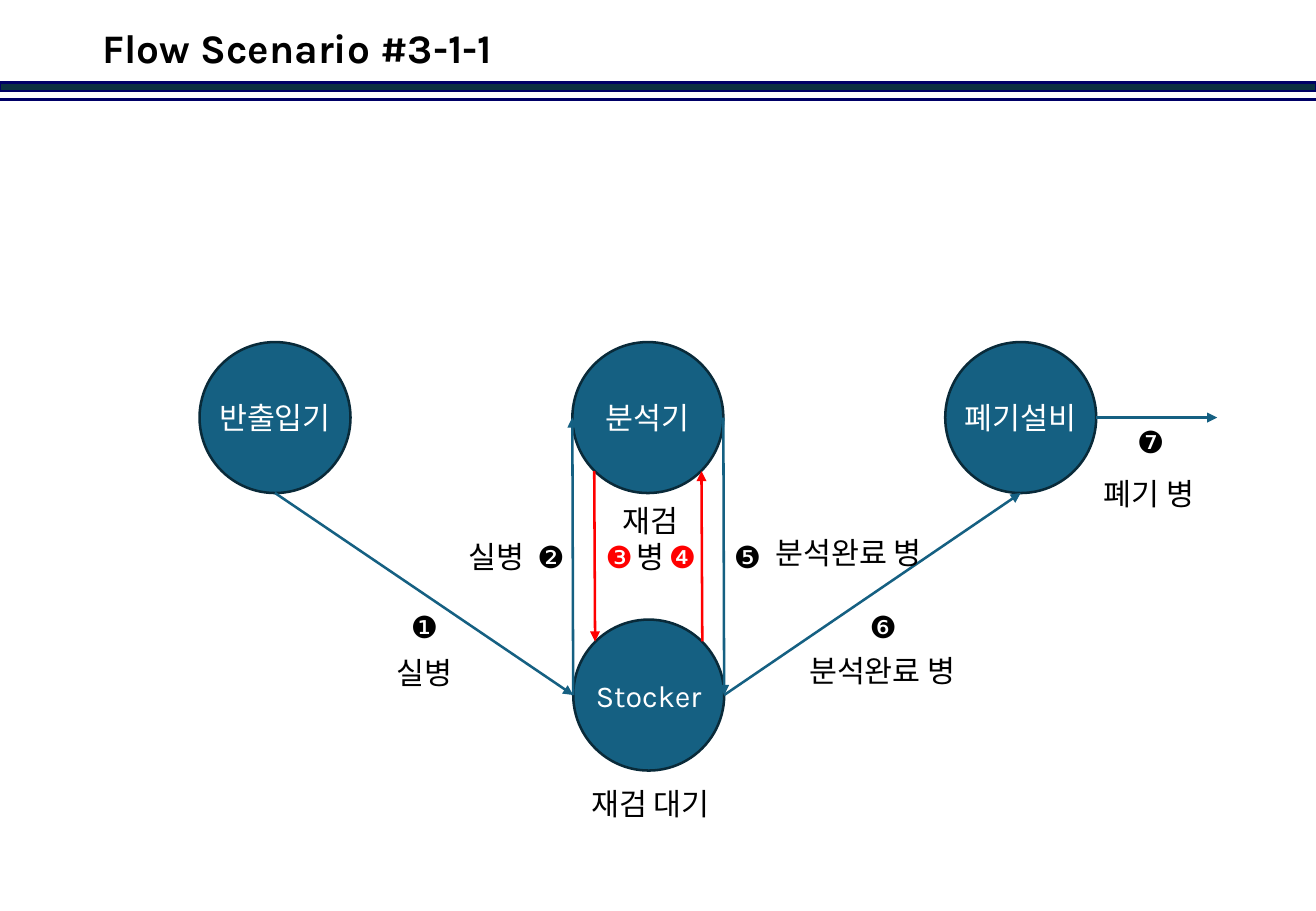
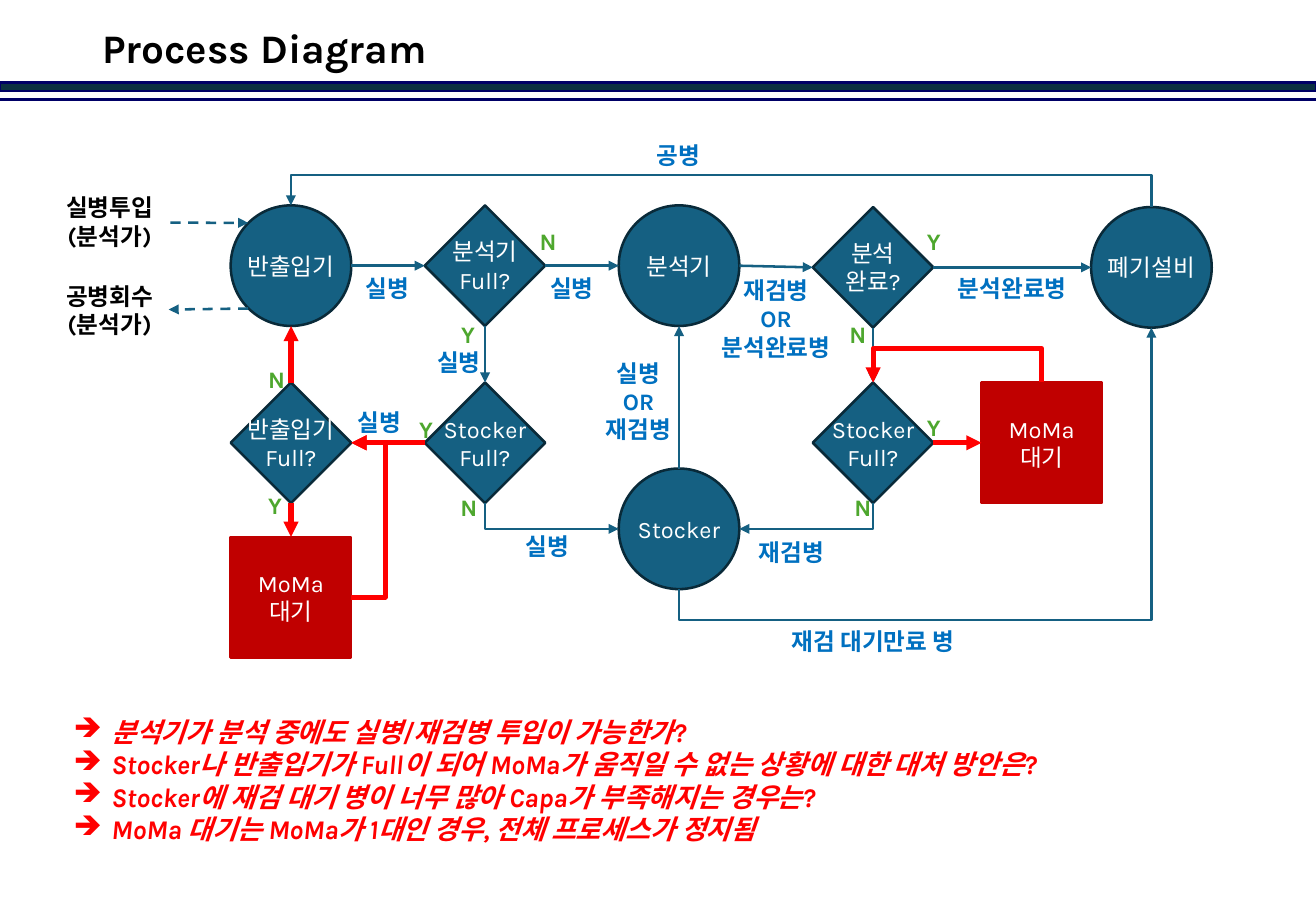
from dataclasses import dataclass
from enum import Enum
from typing import Any, NamedTuple, Optional

from lxml.etree import SubElement
from pptx import Presentation
from pptx.dml.color import RGBColor
from pptx.enum.dml import MSO_LINE_DASH_STYLE as Dash
from pptx.enum.shapes import MSO_CONNECTOR as Connector
from pptx.enum.shapes import MSO_SHAPE as Shape
from pptx.enum.text import MSO_ANCHOR as Anchor
from pptx.enum.text import MSO_AUTO_SIZE as AutoSize
from pptx.enum.text import PP_ALIGN as Align
from pptx.oxml.ns import qn
from pptx.util import Pt

COLORS = {
    "black": "000000", "white": "FFFFFF", "red": "FF0000",
    "band": "0B3041", "navy": "000066", "teal": "156082",
    "outline": "092A39", "wait": "C00000", "green": "4EA72E", "blue": "0070C0",
}
FONT = "Karla"
PAGE_WIDTH, PAGE_HEIGHT = 780, 540


class Side(Enum):
    TOP = (0, -1, 0)
    LEFT = (-1, 0, 1)
    BOTTOM = (0, 1, 2)
    RIGHT = (1, 0, 3)
    TOP_LEFT = (-0.71, -0.71, None)
    TOP_RIGHT = (0.71, -0.71, None)
    BOTTOM_LEFT = (-0.71, 0.71, None)
    BOTTOM_RIGHT = (0.71, 0.71, None)


class Node(NamedTuple):
    name: str
    text: str
    x: float
    y: float
    kind: Any = Shape.OVAL


class Label(NamedTuple):
    text: str
    x: float
    top: float
    color: str = "black"


class Spot(NamedTuple):
    x: float
    y: float
    shape: Any = None
    site: Optional[int] = None


@dataclass
class Arrow:
    start: Spot
    end: Spot
    color: str = "teal"
    weight: float = 1.5
    dashed: bool = False


@dataclass
class Elbow(Arrow):
    upright: bool = True
    lane: Optional[float] = None


def rgb(name: str) -> RGBColor:
    return RGBColor.from_string(COLORS[name])


def style_text(frame: Any, size: float, color: str, bold: bool = False,
               italic: bool = False, align: Any = Align.CENTER) -> None:
    for paragraph in frame.paragraphs:
        paragraph.alignment = align
        font = paragraph.font
        font.name, font.size = FONT, Pt(size)
        font.bold, font.italic = bold, italic
        font.color.rgb = rgb(color)


def paint(shape: Any, fill: str, line: str) -> None:
    shape.shadow.inherit = False
    shape.fill.solid()
    shape.fill.fore_color.rgb = rgb(fill)
    shape.line.color.rgb = rgb(line)
    shape.line.width = Pt(1.5)


def finish_line(connector: Any, color: str, weight: float) -> None:
    connector.line.color.rgb = rgb(color)
    connector.line.width = Pt(weight)
    SubElement(connector._element.spPr, qn("a:effectLst"))


def draw_header(page: Any, title: str) -> None:
    band = page.shapes.add_shape(Shape.RECTANGLE, 0, Pt(49), Pt(PAGE_WIDTH), Pt(5))
    paint(band, "band", "navy")
    rule = page.shapes.add_connector(Connector.STRAIGHT, 0, Pt(59), Pt(PAGE_WIDTH), Pt(59))
    finish_line(rule, "navy", 1.5)
    box = page.shapes.add_textbox(Pt(53.5), Pt(11), Pt(480), Pt(38))
    frame = box.text_frame
    frame.word_wrap = True
    frame.vertical_anchor = Anchor.MIDDLE
    frame.text = title
    frame.paragraphs[0].line_spacing = 0.9
    style_text(frame, 24, "black", bold=True, align=Align.LEFT)


def draw_node(page: Any, node: Node, side: float, size: float) -> Any:
    shape = page.shapes.add_shape(node.kind, Pt(node.x - side / 2), Pt(node.y - side / 2),
                                  Pt(side), Pt(side))
    if node.kind == Shape.RECTANGLE:
        paint(shape, "wait", "wait")
    else:
        paint(shape, "teal", "outline")
    frame = shape.text_frame
    frame.word_wrap = False
    frame.vertical_anchor = Anchor.MIDDLE
    frame.text = node.text
    style_text(frame, size, "white")
    return shape


def draw_nodes(page: Any, nodes: list[Node], side: float, size: float) -> dict[str, Any]:
    return {node.name: draw_node(page, node, side, size) for node in nodes}


def em_width(letter: str) -> float:
    if letter == " ":
        return 0.36
    return 0.5 if letter.isascii() else 1


def draw_label(page: Any, label: Label, size: float, bold: bool) -> None:
    lines = label.text.split("\v")
    width = size * max(sum(map(em_width, line)) for line in lines) + 14.4
    height = size * 1.2 * len(lines) + 7.2
    box = page.shapes.add_textbox(Pt(label.x - width / 2), Pt(label.top), Pt(width), Pt(height))
    frame = box.text_frame
    frame.word_wrap = False
    frame.auto_size = AutoSize.SHAPE_TO_FIT_TEXT
    frame.text = label.text
    style_text(frame, size, label.color, bold)


def at(shape: Any, side: Side) -> Spot:
    across, down, site = side.value
    x = shape.left.pt + shape.width.pt * (1 + across) / 2
    y = shape.top.pt + shape.height.pt * (1 + down) / 2
    joined = site is not None and shape.auto_shape_type != Shape.OVAL
    return Spot(x, y, shape if joined else None, site)


def add_straight(page: Any, arrow: Arrow) -> Any:
    start, end = arrow.start, arrow.end
    connector = page.shapes.add_connector(Connector.STRAIGHT, Pt(start.x), Pt(start.y),
                                          Pt(end.x), Pt(end.y))
    if start.shape is not None:
        connector.begin_connect(start.shape, start.site)
    if end.shape is not None:
        connector.end_connect(end.shape, end.site)
    return connector


def add_elbow(page: Any, elbow: Elbow) -> Any:
    start, end = elbow.start, elbow.end
    middle_x, middle_y = (start.x + end.x) / 2, (start.y + end.y) / 2
    if elbow.upright:
        along, across, origin = end.y - start.y, start.x - end.x, start.y
    else:
        along, across, origin = end.x - start.x, end.y - start.y, start.x
    along = along if abs(along) > 0.1 else 0.1
    connector = page.shapes.add_connector(
        Connector.ELBOW, Pt(middle_x - along / 2), Pt(middle_y - across / 2),
        Pt(middle_x + along / 2), Pt(middle_y + across / 2))
    properties = connector._element.spPr
    if elbow.upright:
        properties.find(qn("a:xfrm")).set("rot", str(90 * 60000))
    geometry = properties.find(qn("a:prstGeom"))
    if elbow.lane is None:
        geometry.set("prst", "bentConnector2")
    else:
        bend = round((elbow.lane - origin) / along * 100000)
        SubElement(geometry.find(qn("a:avLst")), qn("a:gd"), name="adj1", fmla=f"val {bend}")
    return connector


def draw_arrow(page: Any, arrow: Arrow) -> None:
    connector = add_elbow(page, arrow) if isinstance(arrow, Elbow) else add_straight(page, arrow)
    finish_line(connector, arrow.color, arrow.weight)
    if arrow.dashed:
        connector.line.dash_style = Dash.DASH
    SubElement(connector.line._get_or_add_ln(), qn("a:tailEnd"), type="triangle")


def draw_questions(page: Any, questions: list[str]) -> None:
    box = page.shapes.add_textbox(Pt(36.5), Pt(420.5), Pt(631), Pt(85))
    frame = box.text_frame
    frame.word_wrap = False
    frame.text = "\n".join(questions)
    for paragraph in frame.paragraphs:
        properties = paragraph._p.get_or_add_pPr()
        properties.set("marL", str(Pt(22.5)))
        properties.set("indent", str(-Pt(22.5)))
        SubElement(properties, qn("a:buChar"), char="➔")
    style_text(frame, 16, "red", bold=True, italic=True, align=Align.LEFT)


def build_scenario(page: Any) -> None:
    draw_header(page, "Flow Scenario #3-1-1")
    shapes = draw_nodes(page, [
        Node("loader", "반출입기", 163, 247.5),
        Node("analyzer", "분석기", 384, 247.5),
        Node("disposal", "폐기설비", 605, 247.5),
        Node("stocker", "Stocker", 384.5, 412),
    ], 89.5, 18)
    loader, analyzer = shapes["loader"], shapes["analyzer"]
    disposal, stocker = shapes["disposal"], shapes["stocker"]
    for arrow in [
        Arrow(at(stocker, Side.RIGHT), at(disposal, Side.BOTTOM)),
        Arrow(at(stocker, Side.LEFT), at(analyzer, Side.LEFT)),
        Arrow(at(loader, Side.BOTTOM), at(stocker, Side.LEFT)),
        Arrow(at(analyzer, Side.RIGHT), at(stocker, Side.RIGHT)),
        Arrow(at(analyzer, Side.BOTTOM_LEFT), at(stocker, Side.TOP_LEFT), "red"),
        Arrow(at(stocker, Side.TOP_RIGHT), at(analyzer, Side.BOTTOM_RIGHT), "red"),
        Arrow(at(disposal, Side.RIGHT), Spot(721.5, 247.5)),
    ]:
        draw_arrow(page, arrow)
    for label in [
        Label("❶", 251.5, 357), Label("❷", 326.5, 315.5),
        Label("❸", 367, 315.5, "red"), Label("❹", 404.5, 315.5, "red"),
        Label("❺", 443, 315.5), Label("❻", 523.5, 357), Label("❼", 682, 247.5),
        Label("폐기 병", 681, 278), Label("재검 대기", 385.5, 462),
        Label("재검\v병", 385.5, 294), Label("실병", 251.5, 384.5),
        Label("실병", 294, 315.5), Label("분석완료 병", 503, 313),
        Label("분석완료 병", 523, 383),
    ]:
        draw_label(page, label, 18, False)


def build_process(page: Any) -> None:
    draw_header(page, "Process Diagram")
    columns = [172.5 + 115 * index for index in range(4)]
    first, second, third, fourth = columns
    shapes = draw_nodes(page, [
        Node("loader", "반출입기", first, 157.5),
        Node("analyzer", "분석기", third, 157.5),
        Node("stocker", "Stocker", third, 313.5),
        Node("disposal", "폐기설비", 682.5, 158.5),
        Node("analyzer full", "분석기\nFull?", second, 157.5, Shape.DIAMOND),
        Node("done", "분석\n완료?", fourth, 158.5, Shape.DIAMOND),
        Node("loader full", "반출입기\nFull?", first, 262.5, Shape.DIAMOND),
        Node("stocker full", "Stocker\nFull?", second, 262.5, Shape.DIAMOND),
        Node("recheck full", "Stocker\nFull?", fourth, 262.5, Shape.DIAMOND),
        Node("loader wait", "MoMa\v대기", first, 354, Shape.RECTANGLE),
        Node("recheck wait", "MoMa\v대기", 617.5, 262.5, Shape.RECTANGLE),
    ], 71.5, 14)

    def spot(name: str, side: Side) -> Spot:
        return at(shapes[name], side)

    for arrow in [
        Arrow(spot("loader", Side.RIGHT), spot("analyzer full", Side.LEFT)),
        Arrow(spot("analyzer full", Side.RIGHT), spot("analyzer", Side.LEFT)),
        Arrow(spot("analyzer", Side.RIGHT), spot("done", Side.LEFT)),
        Arrow(spot("done", Side.RIGHT), spot("disposal", Side.LEFT)),
        Arrow(spot("analyzer full", Side.BOTTOM), spot("stocker full", Side.TOP)),
        Arrow(spot("done", Side.BOTTOM), spot("recheck full", Side.TOP)),
        Arrow(spot("stocker", Side.TOP), spot("analyzer", Side.BOTTOM)),
        Arrow(Spot(101, 132), spot("loader", Side.TOP_LEFT), dashed=True),
        Arrow(spot("loader", Side.BOTTOM_LEFT), Spot(100, 183.5), dashed=True),
        Elbow(spot("stocker full", Side.BOTTOM), spot("stocker", Side.LEFT)),
        Elbow(spot("recheck full", Side.BOTTOM), spot("stocker", Side.RIGHT)),
        Elbow(spot("disposal", Side.TOP), spot("loader", Side.TOP), lane=103.5),
        Elbow(spot("stocker", Side.BOTTOM), spot("disposal", Side.BOTTOM), lane=367.5),
        Arrow(spot("recheck full", Side.RIGHT), spot("recheck wait", Side.LEFT), "red", 3),
        Arrow(spot("stocker full", Side.LEFT), spot("loader full", Side.RIGHT), "red", 3),
        Arrow(spot("loader full", Side.TOP), spot("loader", Side.BOTTOM), "red", 3),
        Arrow(spot("loader full", Side.BOTTOM), spot("loader wait", Side.TOP), "red", 3),
        Elbow(spot("recheck wait", Side.TOP), spot("recheck full", Side.TOP), "red", 3,
              lane=209),
        Elbow(spot("loader wait", Side.RIGHT), spot("loader full", Side.RIGHT), "red", 3,
              upright=False, lane=226),
    ]:
        draw_arrow(page, arrow)
    for label in [
        Label("실병투입\v(분석가)", 65, 111), Label("공병회수\v(분석가)", 65, 163.5),
        Label("N", 323.5, 131, "green"), Label("Y", 277, 186, "green"),
        Label("N", 507, 186, "green"), Label("Y", 553, 131, "green"),
        Label("N", 276.5, 288.5, "green"), Label("Y", 252, 242.5, "green"),
        Label("N", 510, 288.5, "green"), Label("Y", 553, 241, "green"),
        Label("N", 162.5, 212.5, "green"), Label("Y", 162.5, 287.5, "green"),
        Label("실병", 229.5, 158.5, "blue"), Label("실병", 339, 158.5, "blue"),
        Label("실병", 225, 238.5, "blue"), Label("실병", 272, 202.5, "blue"),
        Label("실병", 324.5, 312, "blue"), Label("재검병", 469, 315.5, "blue"),
        Label("실병\vOR\v재검병", 378.5, 209, "blue"), Label("공병", 402, 80, "blue"),
        Label("재검 대기만료 병", 517.5, 368, "blue"),
        Label("분석완료병", 600, 159, "blue"),
        Label("재검병\vOR\v분석완료병", 460, 160, "blue"),
    ]:
        draw_label(page, label, 14, True)
    draw_questions(page, [
        "분석기가 분석 중에도 실병/재검병 투입이 가능한가?",
        "Stocker나 반출입기가 Full이 되어 MoMa가 움직일 수 없는 상황에 대한 대처 방안은?",
        "Stocker에 재검 대기 병이 너무 많아 Capa가 부족해지는 경우는?",
        "MoMa 대기는 MoMa가 1대인 경우, 전체 프로세스가 정지됨",
    ])


def main() -> None:
    deck = Presentation()
    deck.slide_width, deck.slide_height = Pt(PAGE_WIDTH), Pt(PAGE_HEIGHT)
    for build in (build_scenario, build_process):
        build(deck.slides.add_slide(deck.slide_layouts[6]))
    deck.save("out.pptx")


if __name__ == "__main__":
    main()
